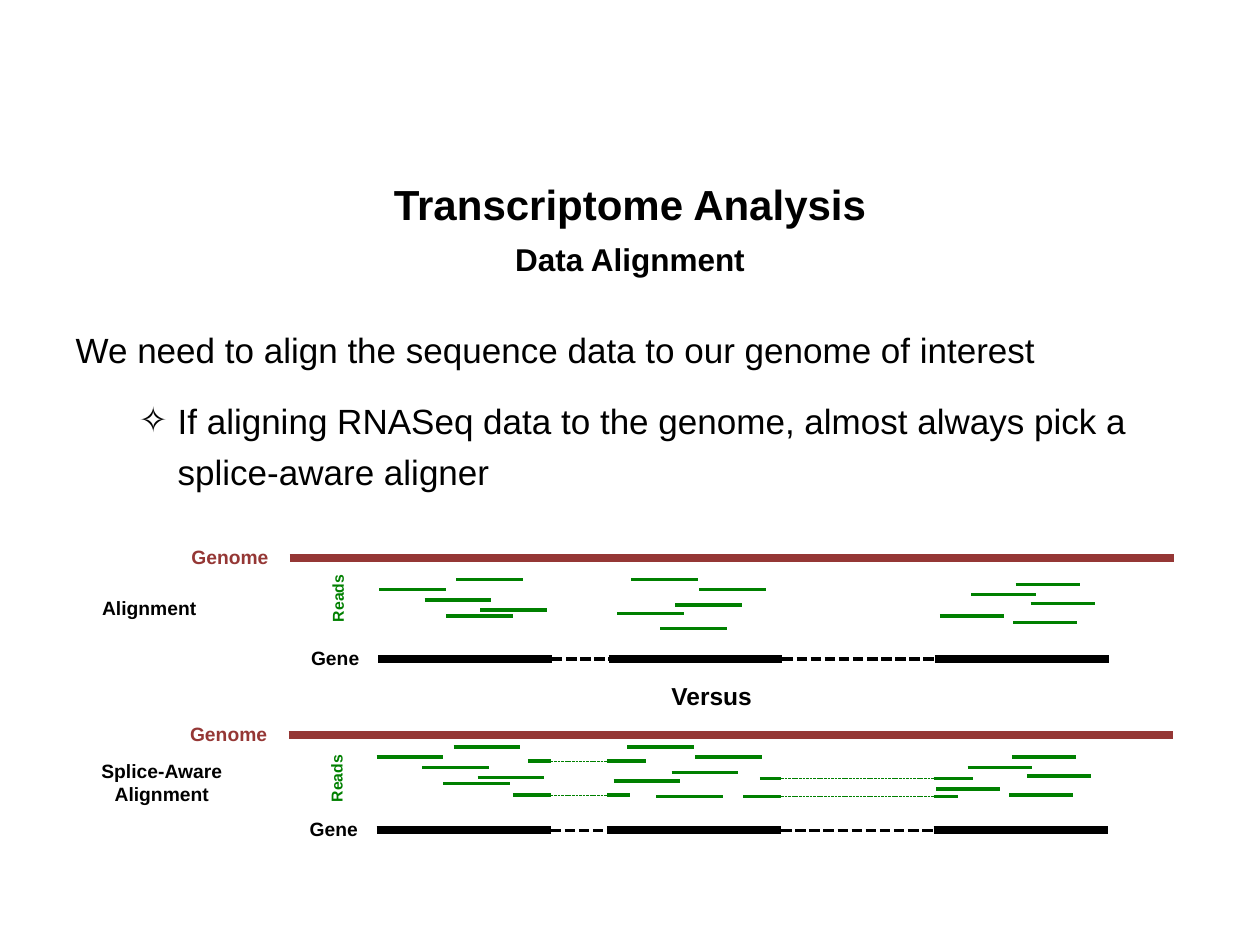
from lxml import etree
from pptx import Presentation
from pptx.dml.color import RGBColor
from pptx.enum.dml import MSO_LINE
from pptx.enum.shapes import MSO_CONNECTOR
from pptx.enum.text import MSO_ANCHOR, MSO_AUTO_SIZE, PP_ALIGN
from pptx.oxml.ns import qn
from pptx.util import Inches, Pt

STRAIGHT = MSO_CONNECTOR.STRAIGHT
DASH = MSO_LINE.SQUARE_DOT
MIDDLE, TOP = MSO_ANCHOR.MIDDLE, MSO_ANCHOR.TOP
CENTER, LEFT = PP_ALIGN.CENTER, PP_ALIGN.LEFT
NO_FIT, GROW = MSO_AUTO_SIZE.NONE, MSO_AUTO_SIZE.SHAPE_TO_FIT_TEXT
FONT = "Arial"
COLORS = {"text": "000000", "genome": "953735", "read": "008000"}

GENOME_LENGTH = 7.02
EXON_LENGTH = 1.38
EXON_STARTS = (0.7, 2.53, 5.12)
READ_GROUPS = (
    (0.53, ((0, 0.08), (0.36, 0.16), (0.8, 0.24), (0.53, 0.29), (0.61, 0))),
    (0.53, ((0.65, 0.08), (0.46, 0.2), (0, 0.27), (0.34, 0.39), (0.11, 0))),
    (0.51, ((0, 0.25), (0.25, 0.08), (0.72, 0.15), (0.6, 0), (0.58, 0.3))),
)
SPLICED_READS = (
    (0, 1.9, 2.84, 0.21),
    (0, 1.78, 2.71, 0.48),
    (1, 3.74, 5.43, 0.35),
    (1, 3.61, 5.31, 0.49),
)


def style_text(paragraph, size, color="text", bold=False, align=LEFT):
    paragraph.alignment = align
    font = paragraph.font
    font.name, font.size, font.bold = FONT, Pt(size), bold
    font.color.rgb = RGBColor.from_string(COLORS[color])


def place(shape, box):
    shape.left, shape.top, shape.width, shape.height = map(Inches, box)


def set_bullet(paragraph, margin, indent, character=None):
    properties = paragraph._p.get_or_add_pPr()
    properties.set("marL", str(Inches(margin)))
    properties.set("indent", str(Inches(indent)))
    if character:
        etree.SubElement(properties, qn("a:buFont")).set("typeface", FONT)
        etree.SubElement(properties, qn("a:buChar")).set("char", character)
    else:
        etree.SubElement(properties, qn("a:buNone"))


def add_line(slide, start, end, y, color, width, dash=None):
    line = slide.shapes.add_connector(
        STRAIGHT, Inches(start), Inches(y), Inches(end), Inches(y))
    line.line.color.rgb = RGBColor.from_string(COLORS[color])
    line.line.width = Pt(width)
    if dash:
        line.line.dash_style = dash
    etree.SubElement(line._element.spPr, qn("a:effectLst"))


def add_label(slide, box, text, size=11, color="text", align=LEFT, rotation=0):
    label = slide.shapes.add_textbox(*map(Inches, box))
    label.rotation = rotation
    frame = label.text_frame
    frame.text = text
    frame.word_wrap = False
    frame.auto_size = GROW
    for paragraph in frame.paragraphs:
        style_text(paragraph, size, color, True, align)


def add_title(slide, box):
    title = slide.shapes.title
    place(title, box)
    frame = title.text_frame
    frame.text = "Transcriptome Analysis\nData Alignment"
    frame.auto_size = NO_FIT
    frame.vertical_anchor = MIDDLE
    for paragraph, size in zip(frame.paragraphs, (24, 18)):
        style_text(paragraph, size, bold=True, align=CENTER)
        paragraph.line_spacing = 1.3


def add_body(slide, box):
    body = slide.placeholders[1]
    place(body, box)
    frame = body.text_frame
    frame.text = ("We need to align the sequence data to our genome of interest\n"
                  "If aligning RNASeq data to the genome, almost always pick a "
                  "splice-aware aligner")
    frame.auto_size = NO_FIT
    frame.vertical_anchor = TOP
    for paragraph in frame.paragraphs:
        style_text(paragraph, 20)
        paragraph.line_spacing = 1.2
        paragraph.space_before = paragraph.space_after = Pt(6)
    statement, advice = frame.paragraphs
    advice.level = 1
    set_bullet(statement, 0, 0)
    set_bullet(advice, 0.81, -0.31, "✧")


def add_gene(slide, left, y):
    exons = [(left + start, left + start + EXON_LENGTH) for start in EXON_STARTS]
    for start, end in exons:
        add_line(slide, start, end, y, "text", 4.5)
    for (_, intron_start), (intron_end, _) in zip(exons, exons[1:]):
        add_line(slide, intron_start, intron_end, y, "text", 2, DASH)


def add_reads(slide, left, top, origins):
    for (x, y), (length, offsets) in zip(origins, READ_GROUPS):
        for dx, dy in offsets:
            start = left + x + dx
            add_line(slide, start, start + length, top + y + dy, "read", 2)


def add_spliced_reads(slide, left, top):
    for intron, start, end, dy in SPLICED_READS:
        intron_start = left + EXON_STARTS[intron] + EXON_LENGTH
        intron_end = left + EXON_STARTS[intron + 1]
        y = top + dy
        add_line(slide, left + start, intron_start, y, "read", 2)
        add_line(slide, intron_end, left + end, y, "read", 2)
        add_line(slide, intron_start, intron_end, y, "read", 0.5, DASH)


def add_alignment_panel(slide, left, top, gene_offset, reads_offset, origins):
    add_line(slide, left, left + GENOME_LENGTH, top, "genome", 4.5)
    add_gene(slide, left, top + gene_offset)
    add_reads(slide, left, top, origins)
    add_label(slide, (left - 0.88, top - 0.15, 0.82, 0.29), "Genome", color="genome")
    add_label(slide, (left + 0.07, top + gene_offset - 0.15, 0.59, 0.29), "Gene")
    add_label(slide, (left + 0.09, top + reads_offset, 0.58, 0.25), "Reads",
              size=9, color="read", rotation=270)


def main():
    presentation = Presentation()
    presentation.slide_width = Inches(10)
    presentation.slide_height = Inches(7.5)
    slide = presentation.slides.add_slide(presentation.slide_layouts[1])
    add_title(slide, (0.5, 1.31, 9, 0.88))
    add_body(slide, (0.5, 2.49, 9, 1.47))
    add_alignment_panel(slide, 2.3, 4.43, 0.8, 0.19,
                        ((0.71, 0.17), (2.6, 0.17), (5.16, 0.21)))
    add_alignment_panel(slide, 2.29, 5.83, 0.76, 0.22,
                        ((0.7, 0.1), (2.58, 0.1), (5.14, 0.18)))
    add_spliced_reads(slide, 2.29, 5.83)
    add_label(slide, (5.23, 5.36, 0.85, 0.34), "Versus", size=14)
    add_label(slide, (0.7, 4.68, 0.97, 0.29), "Alignment", align=CENTER)
    add_label(slide, (0.7, 5.98, 1.17, 0.47), "Splice-Aware\nAlignment", align=CENTER)
    presentation.save("out.pptx")


if __name__ == "__main__":
    main()
